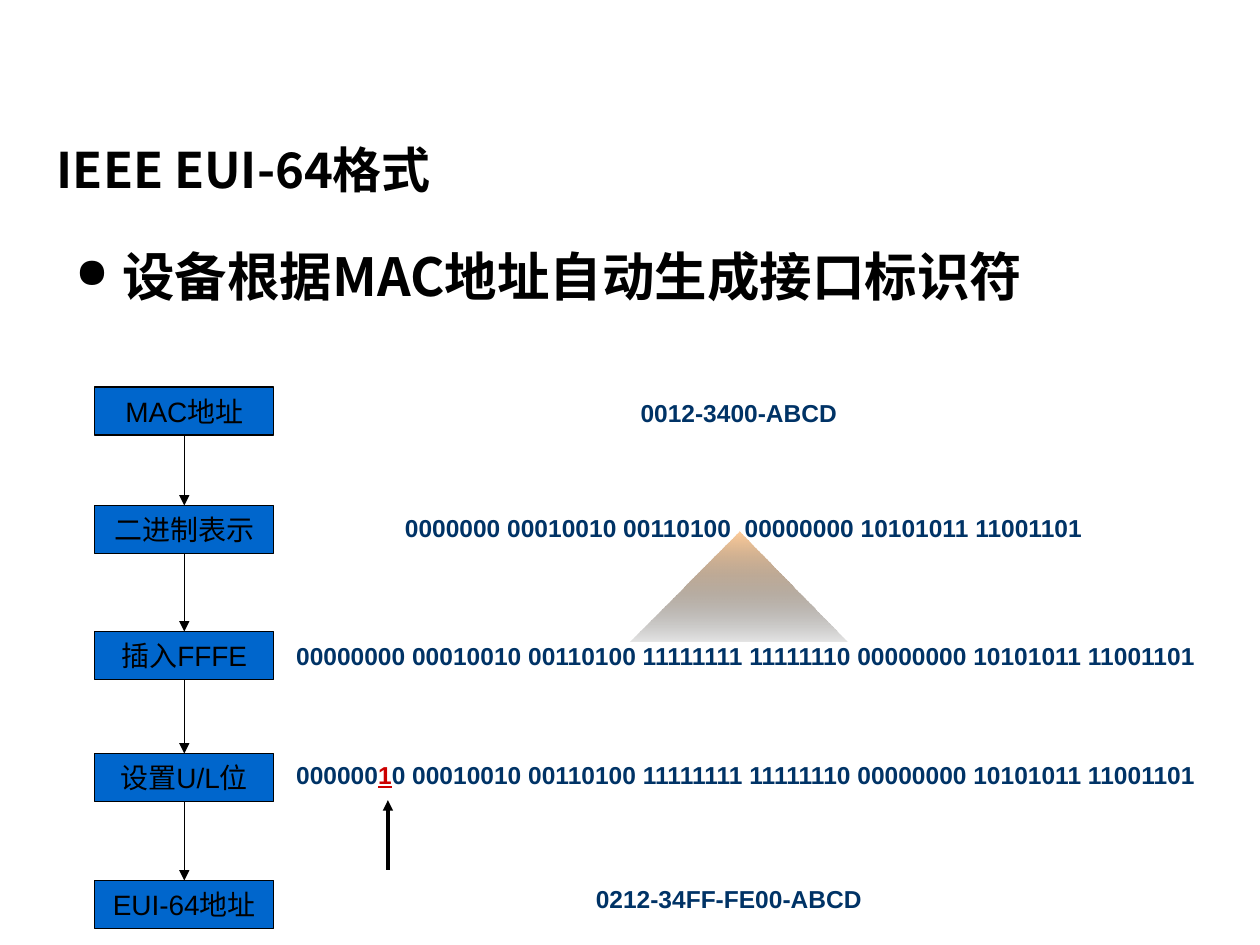
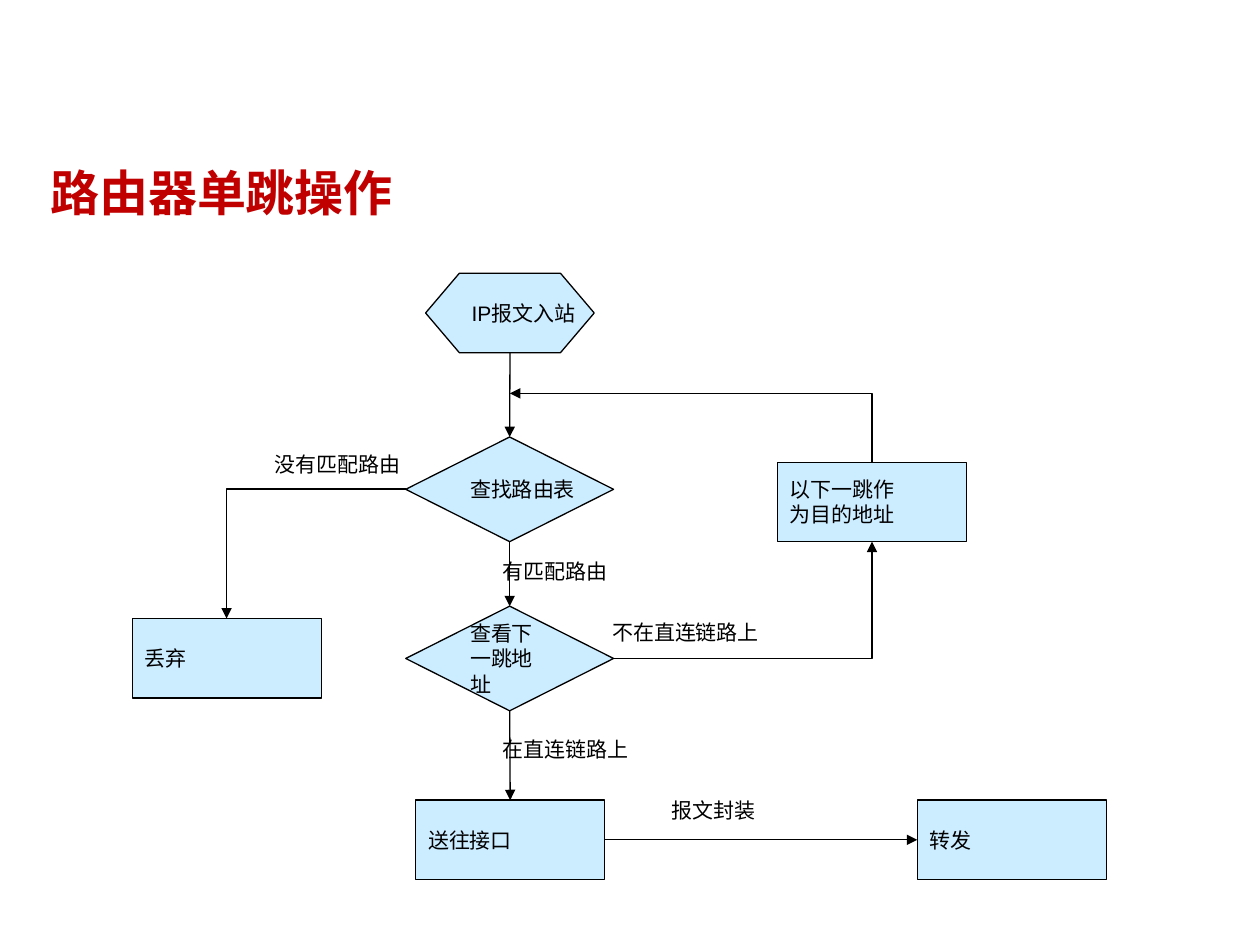
import dataclasses

import lxml.etree
import pptx
import pptx.dml.color
import pptx.enum.dml
import pptx.enum.shapes
import pptx.enum.text
import pptx.oxml.ns
import pptx.util

Cm = pptx.util.Cm
Pt = pptx.util.Pt
qn = pptx.oxml.ns.qn
Shape = pptx.enum.shapes.MSO_SHAPE
Connector = pptx.enum.shapes.MSO_CONNECTOR
Align = pptx.enum.text.PP_ALIGN
Anchor = pptx.enum.text.MSO_ANCHOR
TOP, LEFT, BOTTOM, RIGHT = range(4)


@dataclasses.dataclass(frozen=True)
class Theme:
    black: str = "000000"
    white: str = "FFFFFF"
    step_fill: str = "0066CC"
    bits: str = "003366"
    flipped_bit: str = "CC0000"
    peak: str = "FFCC99"
    flow_fill: str = "CCECFF"
    red_title: str = "C00000"
    title_font: str = "Noto Sans CJK JP"
    body_font: str = "Noto Sans CJK SC"
    font: str = "Arial"
    title_size: float = 28
    bullet_size: float = 30
    step_size: float = 16
    bits_size: float = 14
    flow_size: float = 12
    thin: float = 0.75
    thick: float = 2


THEME = Theme()

EUI_TITLE = ("IEEE EUI-64格式", 0.89, 2.51, THEME.black)
EUI_BULLET = "设备根据MAC地址自动生成接口标识符"
STEP_LEFT, STEP_WIDTH, STEP_HEIGHT = 1.91, 3.61, 0.97
STEPS = [
    ("MAC地址", 7.8),
    ("二进制表示", 10.19),
    ("插入FFFE", 12.73),
    ("设置U/L位", 15.19),
    ("EUI-64地址", 17.75),
]
BIT_ROWS = [
    (["0012-3400-ABCD"], (12.29, 7.72, 5.21, 1.19)),
    (["0000000 00010010 00110100  00000000 10101011 11001101"], (8.1, 9.93, 13.79, 1.4)),
    (["00000000 00010010 00110100 11111111 11111110 00000000 10101011 11001101"],
     (5.69, 12.52, 18.69, 1.4)),
    (["000000", "1", "0 00010010 00110100 11111111 11111110 00000000 10101011 11001101"],
     (5.69, 14.91, 18.69, 1.4)),
    (["0212-34FF-FE00-ABCD"], (12.09, 17.53, 5.21, 1.19)),
]
UL_ARROW = ((7.82, 17.53), (7.82, 16.13))
INSERT_TRIANGLE = [(12.7, 12.93), (14.91, 10.72), (17.09, 12.93)]

HOP_TITLE = ("路由器单跳操作", 0.76, 2.97, THEME.red_title)
NODE_KINDS = {
    "entry": (Shape.FLOWCHART_PREPARATION, 3.4, 1.6),
    "decision": (Shape.FLOWCHART_DECISION, 4.19, 2.11),
    "process": (Shape.FLOWCHART_PROCESS, 3.81, 1.6),
}
NODES = {
    "arrive": ("entry", "IP报文入站", 8.58, 5.51, False),
    "lookup": ("decision", "查找路由表", 8.18, 8.81, False),
    "next_hop": ("decision", "查看下一跳地址", 8.18, 12.22, True),
    "send": ("process", "送往接口", 8.38, 16.13, False),
    "forward": ("process", "转发", 18.49, 16.13, False),
    "discard": ("process", "丢弃", 2.67, 12.47, False),
    "retarget": ("process", "以下一跳作\n为目的地址", 15.67, 9.32, False),
}
STRAIGHT_LINKS = [
    ("arrive", BOTTOM, "lookup", TOP),
    ("lookup", BOTTOM, "next_hop", TOP),
    ("next_hop", BOTTOM, "send", TOP),
    ("send", RIGHT, "forward", LEFT),
]
BENT_LINKS = [
    ((12.37, 13.27), (17.58, 10.92), "tailEnd"),
    ((8.18, 9.86), (4.57, 12.47), "tailEnd"),
    ((10.28, 7.93), (17.58, 9.32), "headEnd"),
]
LABEL_HEIGHT = 0.76
LABELS = [
    ("没有匹配路由", 5.28, 8.97, 3.4),
    ("有匹配路由", 9.88, 11.13, 3.4),
    ("不在直连链路上", 12.09, 12.37, 3.61),
    ("在直连链路上", 9.88, 14.73, 3.61),
    ("报文封装", 13.28, 15.95, 3.61),
]


def rgb(value):
    return pptx.dml.color.RGBColor.from_string(value)


def cm(values):
    return [Cm(value) for value in values]


def format_text(box, size, color, font=THEME.font, bold=False, align=Align.LEFT,
                wrap=True, anchor=Anchor.MIDDLE):
    frame = box.text_frame
    frame.word_wrap = wrap
    frame.vertical_anchor = anchor
    east_font = THEME.body_font if font == THEME.font else font
    for para in frame.paragraphs:
        para.alignment = align
        for span in para.runs:
            span.font.name = font
            span.font.size = Pt(size)
            span.font.bold = bold
            span.font.color.rgb = rgb(color)
            latin = span.font._element.find(qn("a:latin"))
            east = lxml.etree.Element(qn("a:ea"), typeface=east_font)
            latin.addnext(east)


def add_page(deck, title, left, top, color):
    page = deck.slides.add_slide(deck.slide_layouts[5])
    box = page.shapes.title
    box.left, box.top, box.width, box.height = cm((left, top, 21.87, 1.8))
    box.text_frame.text = title
    format_text(box, THEME.title_size, color, THEME.title_font, bold=True)
    return page


def add_box(page, kind, bounds, fill, outlined=True):
    box = page.shapes.add_shape(kind, *cm(bounds))
    box.shadow.inherit = False
    box.fill.solid()
    box.fill.fore_color.rgb = rgb(fill)
    if outlined:
        box.line.color.rgb = rgb(THEME.black)
        box.line.width = Pt(THEME.thin)
    else:
        box.line.fill.background()
    return box


def add_arrow(page, start=(0, 0), finish=(0, 0), width=THEME.thin,
              kind=Connector.STRAIGHT, arrow_end="tailEnd"):
    arrow = page.shapes.add_connector(kind, *cm(start + finish))
    arrow.line.color.rgb = rgb(THEME.black)
    arrow.line.width = Pt(width)
    lxml.etree.SubElement(arrow.line._get_or_add_ln(), qn(f"a:{arrow_end}"), type="triangle")
    properties = arrow._element.spPr
    lxml.etree.SubElement(properties, qn("a:effectLst"))
    if kind == Connector.ELBOW:
        properties.find(qn("a:prstGeom")).set("prst", "bentConnector2")
    return arrow


def join(page, source, source_side, target, target_side):
    arrow = add_arrow(page)
    arrow.begin_connect(source, source_side)
    arrow.end_connect(target, target_side)


def add_bullet(page):
    box = page.shapes.add_textbox(*cm((1.27, 4.8, 22.86, 2.21)))
    box.text_frame.text = EUI_BULLET
    format_text(box, THEME.bullet_size, THEME.black, THEME.body_font, bold=True,
                anchor=Anchor.TOP)
    para = box.text_frame.paragraphs[0]
    para.space_before = Pt(3)
    para.space_after = Pt(7.5)
    properties = para._p.get_or_add_pPr()
    properties.set("marL", str(Cm(0.95)))
    properties.set("indent", str(-Cm(0.95)))
    lxml.etree.SubElement(properties, qn("a:buSzPct"), val="80000")
    lxml.etree.SubElement(properties, qn("a:buChar"), char="●")


def add_bit_row(page, parts, bounds):
    box = add_box(page, Shape.RECTANGLE, bounds, THEME.white, outlined=False)
    para = box.text_frame.paragraphs[0]
    for part in parts:
        para.add_run().text = part
    format_text(box, THEME.bits_size, THEME.bits, bold=True, align=Align.CENTER, wrap=False)
    for span in para.runs[1:2]:
        span.font.color.rgb = rgb(THEME.flipped_bit)
        span.font.underline = True


def add_insert_triangle(page):
    corners = [cm(point) for point in INSERT_TRIANGLE]
    builder = page.shapes.build_freeform(*corners[0])
    builder.add_line_segments(corners[1:], close=True)
    triangle = builder.convert_to_shape()
    triangle.shadow.inherit = False
    triangle.line.fill.background()
    triangle.fill.gradient()
    triangle.fill.gradient_angle = 270
    for stop, color in zip(triangle.fill.gradient_stops, (THEME.peak, THEME.black)):
        stop.color.rgb = rgb(color)
    base_color = list(triangle._element.spPr.iter(qn("a:srgbClr")))[-1]
    lxml.etree.SubElement(base_color, qn("a:alpha"), val="10000")


def build_eui_page(deck):
    page = add_page(deck, *EUI_TITLE)
    add_bullet(page)
    for parts, bounds in BIT_ROWS:
        add_bit_row(page, parts, bounds)
    steps = []
    for text, top in STEPS:
        box = add_box(page, Shape.RECTANGLE, (STEP_LEFT, top, STEP_WIDTH, STEP_HEIGHT),
                      THEME.step_fill)
        box.text_frame.text = text
        format_text(box, THEME.step_size, THEME.black, align=Align.CENTER)
        steps.append(box)
    for upper, lower in zip(steps, steps[1:]):
        join(page, upper, BOTTOM, lower, TOP)
    add_arrow(page, *UL_ARROW, width=THEME.thick)
    add_insert_triangle(page)


def build_hop_page(deck):
    page = add_page(deck, *HOP_TITLE)
    nodes = {}
    for name, (kind, text, left, top, wrap) in NODES.items():
        preset, width, height = NODE_KINDS[kind]
        box = add_box(page, preset, (left, top, width, height), THEME.flow_fill)
        box.text_frame.text = text
        format_text(box, THEME.flow_size, THEME.black, wrap=wrap)
        nodes[name] = box
    for source, source_side, target, target_side in STRAIGHT_LINKS:
        join(page, nodes[source], source_side, nodes[target], target_side)
    for start, finish, arrow_end in BENT_LINKS:
        add_arrow(page, start, finish, kind=Connector.ELBOW, arrow_end=arrow_end)
    for text, left, top, width in LABELS:
        label = page.shapes.add_textbox(*cm((left, top, width, LABEL_HEIGHT)))
        label.text_frame.text = text
        format_text(label, THEME.flow_size, THEME.black, anchor=Anchor.TOP)


def main():
    deck = pptx.Presentation()
    deck.slide_width, deck.slide_height = cm((25.4, 19.05))
    build_eui_page(deck)
    build_hop_page(deck)
    deck.save("out.pptx")


if __name__ == "__main__":
    main()
